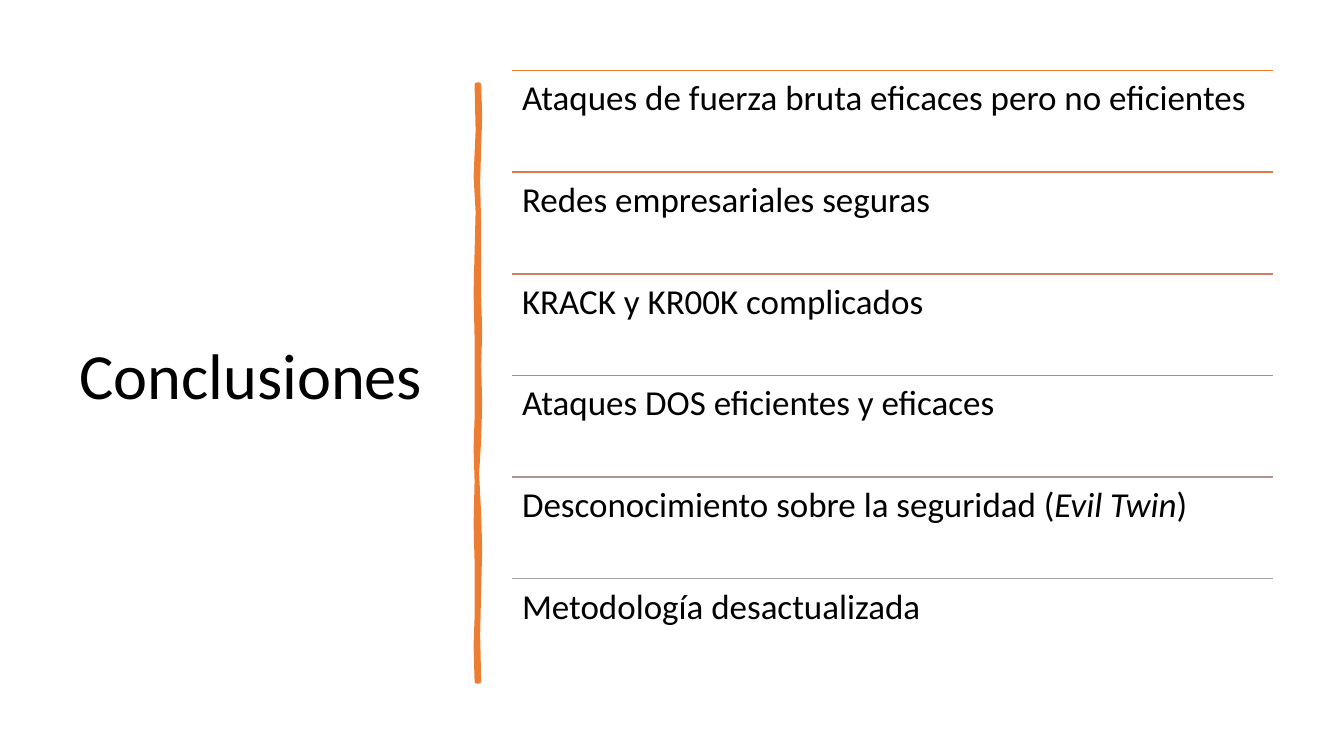
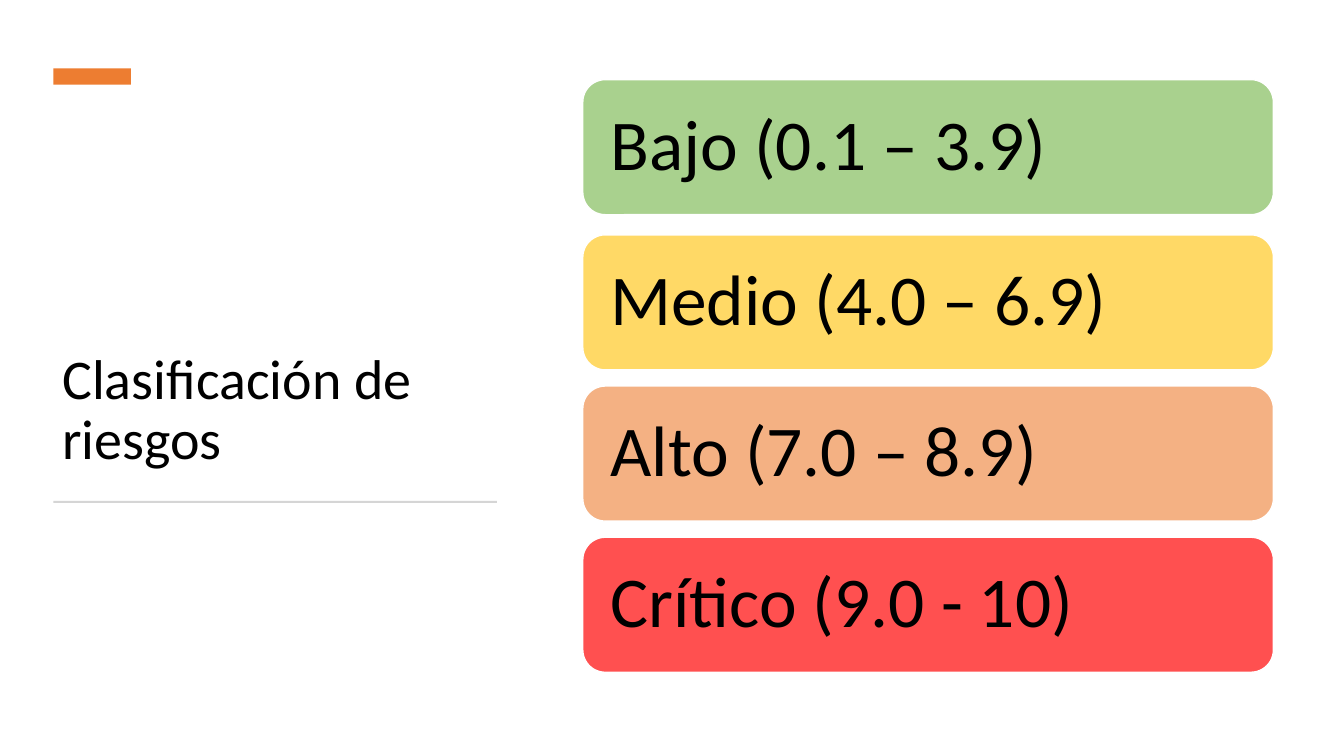
import pptx
import pptx.dml.color
import pptx.enum.shapes
import pptx.enum.text
import pptx.util
from lxml import etree
from pptx.util import Inches

COLORS = {
    "text": "000000", "accent": "ED7D31", "rule": "D5D5D5", "white": "FFFFFF",
    "low": "A9D18E", "medium": "FFD966", "high": "F4B183", "critical": "FF5050",
}
FONT = "Calibri"
SHAPES = pptx.enum.shapes.MSO_SHAPE
ANCHOR = pptx.enum.text.MSO_ANCHOR


def write_text(shape, text, size, anchor=ANCHOR.TOP, margins=(0.1, 0.05)):
    """Fill a shape with one paragraph; parts between asterisks become italic."""
    frame = shape.text_frame
    frame.word_wrap = True
    frame.vertical_anchor = anchor
    frame.margin_left = frame.margin_right = Inches(margins[0])
    frame.margin_top = frame.margin_bottom = Inches(margins[1])
    paragraph = frame.paragraphs[0]
    paragraph.alignment = pptx.enum.text.PP_ALIGN.LEFT
    paragraph.line_spacing = 0.9
    for index, part in enumerate(text.split("*")):
        run = paragraph.add_run()
        run.text = part
        run.font.name = FONT
        run.font.size = pptx.util.Pt(size)
        run.font.italic = index % 2 == 1
        run.font.color.rgb = pptx.dml.color.RGBColor.from_string(COLORS["text"])


def paint(shape, fill, line=None, width=1):
    shape.shadow.inherit = False
    shape.fill.solid()
    shape.fill.fore_color.rgb = pptx.dml.color.RGBColor.from_string(fill)
    if line:
        shape.line.color.rgb = pptx.dml.color.RGBColor.from_string(line)
        shape.line.width = pptx.util.Pt(width)
    else:
        shape.line.fill.background()


presentation = pptx.Presentation()
presentation.slide_width = Inches(13.33)
presentation.slide_height = Inches(7.5)
blank_layout = presentation.slide_layouts[6]

# Conclusions
slide = presentation.slides.add_slide(blank_layout)
title = slide.shapes.add_textbox(Inches(0.69), Inches(0.7), Inches(3.74), Inches(6.11))
write_text(title, "Conclusiones", 46, ANCHOR.MIDDLE)

brush_right = [
    (4.75, 0.84), (4.76, 1.15), (4.75, 1.46), (4.74, 1.8), (4.75, 2.26), (4.75, 2.94),
    (4.76, 3.3), (4.75, 3.62), (4.76, 4), (4.75, 4.36), (4.73, 4.7), (4.75, 5.1),
    (4.76, 5.45), (4.75, 5.84), (4.74, 6.3), (4.75, 6.76),
]
brush_left = [
    (4.73, 6.76), (4.72, 6.4), (4.73, 6.13), (4.73, 5.57), (4.72, 5.2), (4.73, 4.77),
    (4.72, 4.45), (4.73, 4.15), (4.73, 3.35), (4.72, 2.9), (4.73, 2.5), (4.74, 2.1),
    (4.72, 1.75), (4.74, 1.3), (4.73, 0.84),
]
outline = [(Inches(x), Inches(y)) for x, y in brush_right + brush_left]
builder = slide.shapes.build_freeform(*outline[0])
builder.add_line_segments(outline[1:], close=True)
paint(builder.convert_to_shape(), COLORS["accent"], COLORS["accent"], 3.25)

conclusions = [
    ("Ataques de fuerza bruta eficaces pero no eficientes", COLORS["accent"]),
    ("Redes empresariales seguras", "DC7A4B"),
    ("KRACK y KR00K complicados", "CC7D64"),
    ("Ataques DOS eficientes y eficaces", "BD867B"),
    ("Desconocimiento sobre la seguridad (*Evil Twin*)", "B09391"),
    ("Metodología desactualizada", "A5A5A5"),
]
row_left, row_width = Inches(5.08), Inches(7.55)
row_height = Inches(6.05) // len(conclusions)
for index, (text, color) in enumerate(conclusions):
    top = Inches(0.7) + index * row_height
    line = slide.shapes.add_connector(
        pptx.enum.shapes.MSO_CONNECTOR.STRAIGHT, row_left, top, row_left + row_width, top)
    line.line.color.rgb = pptx.dml.color.RGBColor.from_string(color)
    line.line.width = pptx.util.Pt(1)
    etree.SubElement(line._element.spPr, pptx.oxml.ns.qn("a:effectLst"))
    box = slide.shapes.add_textbox(row_left, top, row_width, row_height)
    write_text(box, text, 25, margins=(0.1, 0.1))

# Risk classification
slide = presentation.slides.add_slide(blank_layout)
title = slide.shapes.add_textbox(Inches(0.52), Inches(1.23), Inches(5.07), Inches(3.5))
write_text(title, "Clasificación de riesgos", 40, ANCHOR.BOTTOM)

accent_bar = slide.shapes.add_shape(
    SHAPES.RECTANGLE, Inches(0.53), Inches(0.68), Inches(0.77), Inches(0.16))
paint(accent_bar, COLORS["accent"])
title_rule = slide.shapes.add_shape(
    SHAPES.RECTANGLE, Inches(0.53), Inches(4.97), Inches(4.4), Inches(0.02))
paint(title_rule, COLORS["rule"])

risk_levels = [
    ("Bajo (0.1 – 3.9)", "low", 0.79),
    ("Medio (4.0 – 6.9)", "medium", 2.33),
    ("Alto (7.0 – 8.9)", "high", 3.83),
    ("Crítico (9.0 - 10)", "critical", 5.33),
]
for text, level, top in risk_levels:
    card = slide.shapes.add_shape(
        SHAPES.ROUNDED_RECTANGLE, Inches(5.78), Inches(top), Inches(6.85), Inches(1.34))
    paint(card, COLORS[level], COLORS["white"])
    write_text(card, text, 51, ANCHOR.MIDDLE, margins=(0.21, 0.21))

presentation.save("out.pptx")
